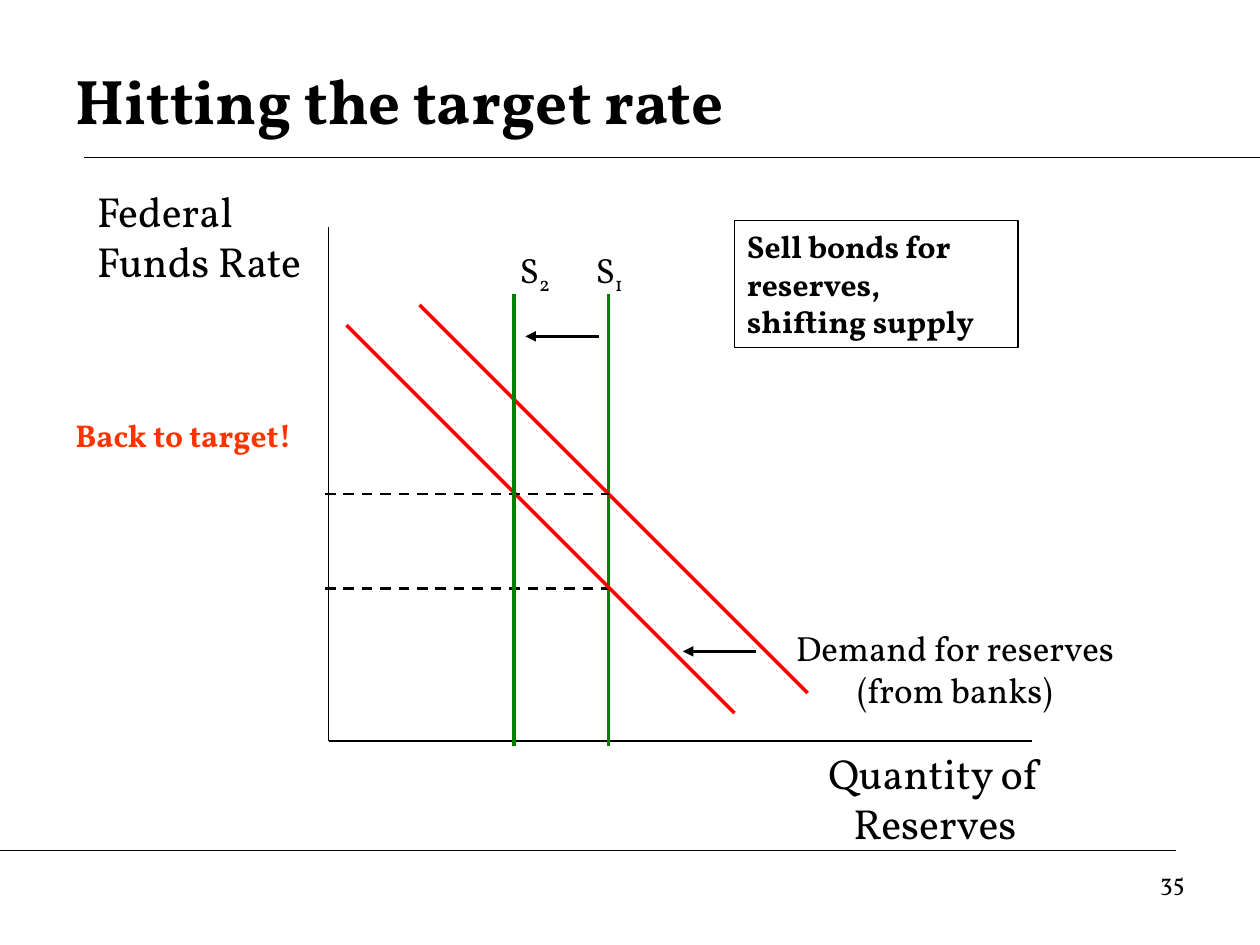
"""Build the slide on hitting the target federal funds rate."""
import pptx
import pptx.dml.color
import pptx.enum.dml
import pptx.enum.shapes
import pptx.enum.text
import pptx.oxml.ns
import pptx.util
from lxml import etree

Inches = pptx.util.Inches
Pt = pptx.util.Pt
RGBColor = pptx.dml.color.RGBColor
Align = pptx.enum.text.PP_ALIGN
Anchor = pptx.enum.text.MSO_ANCHOR
qn = pptx.oxml.ns.qn

FONT = "Vollkorn"
BLACK = RGBColor(0x00, 0x00, 0x00)
GREEN = RGBColor(0x00, 0x80, 0x00)
RED = RGBColor(0xFF, 0x00, 0x00)
ORANGE = RGBColor(0xFF, 0x33, 0x00)

AXIS_X, AXIS_Y = 2.61, 5.88
SUPPLY_1, SUPPLY_2 = 4.83, 4.08
SUPPLY_TOP, SUPPLY_BOTTOM = 2.33, 5.92
DEMAND_RUN = 3.08
TARGET_RATE, LOW_RATE = 3.92, 4.67
ARROW_LENGTH = 0.58


def supply(x):
    return (x, SUPPLY_BOTTOM, x, SUPPLY_TOP, GREEN, 2, "")


def demand(x, y):
    return (x, y, x + DEMAND_RUN, y + DEMAND_RUN, RED, 2, "")


def rate(y):
    return (2.58, y, SUPPLY_1, y, BLACK, 1.5, "dash")


def shift(x, y):
    return (x, y, x - ARROW_LENGTH, y, BLACK, 1.5, "arrow")


LINES = [
    (0.67, 1.25, 10, 1.25, BLACK, 0.75, ""),
    (0, 6.75, 9.33, 6.75, BLACK, 0.75, ""),
    (AXIS_X, 1.8, AXIS_X, AXIS_Y, BLACK, 0.75, ""),
    (AXIS_X, AXIS_Y, 8.19, AXIS_Y, BLACK, 0.75, ""),
    supply(SUPPLY_1),
    demand(3.33, 2.42),
    rate(LOW_RATE),
    demand(2.75, 2.58),
    rate(TARGET_RATE),
    shift(6, 5.17),
    supply(SUPPLY_2),
    shift(4.75, 2.67),
]

TEXTS = [
    ("Hitting the target rate", (0.5, 0.33, 9, 0.92), 36, True, BLACK, Align.LEFT, Anchor.MIDDLE),
    ("Federal\nFunds Rate", (0.67, 1.42, 2.33, 0.9), 24, False, BLACK, Align.LEFT, Anchor.TOP),
    ("Quantity of Reserves", (5.92, 5.88, 3, 0.9), 24, False, BLACK, Align.CENTER, Anchor.TOP),
    ("Demand for reserves\n(from banks)", (6.08, 4.92, 3, 0.77), 20, False, BLACK, Align.CENTER, Anchor.TOP),
    ("Back to target!", (0.5, 3.25, 2.92, 0.4), 18, True, ORANGE, Align.LEFT, Anchor.TOP),
    ("35", (7.17, 6.83, 2.33, 0.52), 14, False, BLACK, Align.RIGHT, Anchor.TOP),
]

SUPPLY_LABELS = [("1", 4.42), ("2", 3.83)]
ACTION = "Sell bonds for reserves, shifting supply"
ACTION_BOX = (5.83, 1.75, 2.25, 1.01)


def add_line(slide, x1, y1, x2, y2, color, width, style):
    line = slide.shapes.add_connector(
        pptx.enum.shapes.MSO_CONNECTOR.STRAIGHT, *map(Inches, (x1, y1, x2, y2)))
    line.line.color.rgb = color
    line.line.width = Pt(width)
    properties = line._element.spPr
    if style == "dash":
        line.line.dash_style = pptx.enum.dml.MSO_LINE.DASH
    if style == "arrow":
        etree.SubElement(properties.find(qn("a:ln")), qn("a:tailEnd"), type="triangle")
    etree.SubElement(properties, qn("a:effectLst"))


def add_run(paragraph, text, size, bold, color):
    run = paragraph.add_run()
    run.text = text
    run.font.name = FONT
    run.font.size = Pt(size)
    run.font.bold = bold
    run.font.color.rgb = color
    return run


def fill_text(shape, text, size, bold, color, align, anchor):
    frame = shape.text_frame
    frame.word_wrap = True
    frame.vertical_anchor = anchor
    paragraph = frame.paragraphs[0]
    paragraph.alignment = align
    for index, part in enumerate(text.split("\n")):
        if index:
            paragraph.add_line_break()
        add_run(paragraph, part, size, bold, color)
    return paragraph


def add_text(slide, text, box, *style):
    return fill_text(slide.shapes.add_textbox(*map(Inches, box)), text, *style)


def add_action_box(slide):
    shape = slide.shapes.add_shape(
        pptx.enum.shapes.MSO_SHAPE.RECTANGLE, *map(Inches, ACTION_BOX))
    shape.shadow.inherit = False
    shape.fill.background()
    shape.line.color.rgb = BLACK
    shape.line.width = Pt(0.75)
    fill_text(shape, ACTION, 18, True, BLACK, Align.LEFT, Anchor.TOP)


def main():
    presentation = pptx.Presentation()
    presentation.slide_width = Inches(10)
    presentation.slide_height = Inches(7.5)
    slide = presentation.slides.add_slide(presentation.slide_layouts[6])
    for line in LINES:
        add_line(slide, *line)
    for text in TEXTS:
        add_text(slide, *text)
    for number, left in SUPPLY_LABELS:
        paragraph = add_text(slide, "S", (left, 1.92, 0.83, 0.43), 20, False, BLACK, Align.CENTER, Anchor.TOP)
        subscript = add_run(paragraph, number, 20, False, BLACK)
        subscript._r.get_or_add_rPr().set("baseline", "-25000")
    add_action_box(slide)
    presentation.save("out.pptx")


if __name__ == "__main__":
    main()
